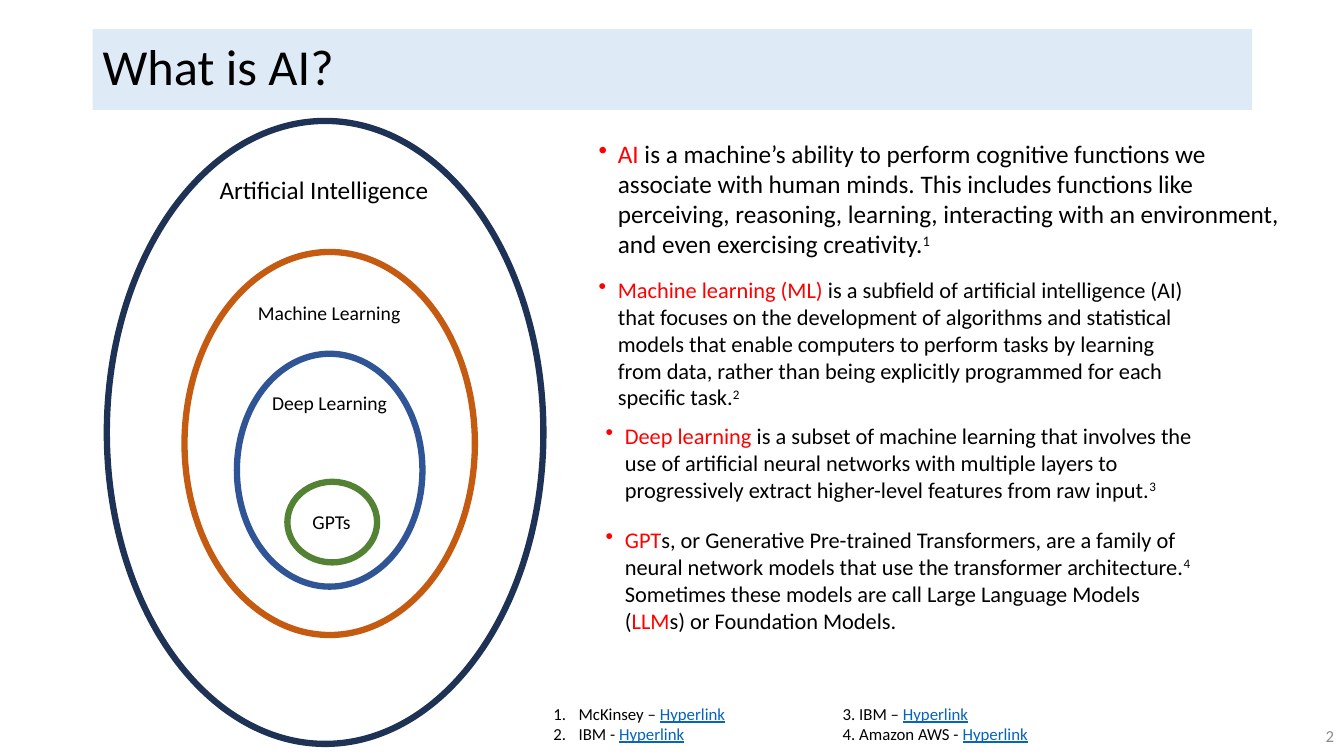
import pptx
import pptx.dml.color
import pptx.enum.shapes
import pptx.enum.text
import pptx.oxml
import pptx.oxml.ns
import pptx.util
from pptx.util import Inches

ALIGN = pptx.enum.text.PP_ALIGN
ANCHOR = pptx.enum.text.MSO_ANCHOR
SHAPE = pptx.enum.shapes.MSO_SHAPE
BLACK, RED, LINK = "000000", "FF0000", "0563C1"
DOT = '<a:buChar %s char="•"/>'
NUMBER = '<a:buAutoNum %s type="arabicPeriod"/>'


def color(code):
    return pptx.dml.color.RGBColor.from_string(code)


class Page:
    font = "Calibri"

    def __init__(self, deck):
        self.slide = deck.slides.add_slide(deck.slide_layouts[6])

    def shape(self, kind, box, fill=None, line=None):
        item = self.slide.shapes.add_shape(kind, *map(Inches, box))
        item.shadow.inherit = False
        if fill:
            item.fill.solid()
            item.fill.fore_color.rgb = color(fill)
        else:
            item.fill.background()
        if line:
            item.line.color.rgb = color(line)
            item.line.width = pptx.util.Pt(4.5)
        else:
            item.line.fill.background()
        return item

    def runs(self, para, parts, size, ink=BLACK):
        """Each part is (text, role): plain, key, sup or link."""
        for text, role in parts:
            run = para.add_run()
            run.text = text
            font = run.font
            font.name = self.font
            font.size = pptx.util.Pt(size)
            font.color.rgb = color({"key": RED, "link": LINK}.get(role, ink))
            if role == "link":
                font.underline = True
            if role == "sup":
                run._r.get_or_add_rPr().set("baseline", "30000")

    def mark(self, para, bullet, indent):
        props = para._p.get_or_add_pPr()
        props.set("marL", str(Inches(indent)))
        props.set("indent", str(Inches(-indent)))
        props.append(pptx.oxml.parse_xml(bullet % pptx.oxml.ns.nsdecls("a")))

    def text(self, box, rows, size, wrap=True, bullet=None, indent=0.19,
             ink=BLACK, align=ALIGN.LEFT, anchor=ANCHOR.TOP):
        frame = self.slide.shapes.add_textbox(*map(Inches, box)).text_frame
        frame.word_wrap = wrap
        frame.vertical_anchor = anchor
        for i, parts in enumerate(rows):
            para = frame.add_paragraph() if i else frame.paragraphs[0]
            para.alignment = align
            if bullet:
                self.mark(para, bullet, indent)
            self.runs(para, parts, size, ink)

    def title(self, box, words):
        frame = self.shape(SHAPE.RECTANGLE, box, fill="DEEBF7").text_frame
        frame.vertical_anchor = ANCHOR.MIDDLE
        para = frame.paragraphs[0]
        para.alignment = ALIGN.LEFT
        para.line_spacing = 0.9
        self.runs(para, [(words, "")], 36)

    def ring(self, box, line, label, spot, size):
        self.shape(SHAPE.OVAL, box, line=line)
        self.text(spot, [[(label, "")]], size, wrap=False)


def main():
    deck = pptx.Presentation()
    deck.slide_width, deck.slide_height = Inches(13.33), Inches(7.5)
    page = Page(deck)

    # Title band and page number
    page.title((0.92, 0.29, 11.5, 0.8), "What is AI?")
    page.text((10.33, 7.1, 3, 0.4), [[("2", "")]], 12, ink="8C8C8C",
              align=ALIGN.RIGHT, anchor=ANCHOR.MIDDLE)

    # Nested rings, outermost first
    rings = [
        ((1.06, 1.2, 4.33, 6.18), "1E3256", "Artificial Intelligence",
         (2.08, 1.68, 2.3, 0.4), 18),
        ((1.83, 2.5, 2.88, 3.8), "C55A11", "Machine Learning",
         (2.46, 2.94, 1.67, 0.34), 14),
        ((2.35, 3.51, 1.84, 2.31), "2F5597", "Deep Learning",
         (2.6, 3.83, 1.36, 0.34), 14),
        ((2.85, 4.78, 0.89, 0.8), "548235", "GPTs",
         (3, 5.01, 0.59, 0.34), 14),
    ]
    for ring in rings:
        page.ring(*ring)

    # Definitions
    terms = [
        ((5.84, 1.32, 7.04, 1.31), 18, [
            ("AI", "key"),
            (" is a machine’s ability to perform cognitive functions we "
             "associate with human minds. This includes functions like "
             "perceiving, reasoning, learning, interacting with an "
             "environment, and even exercising creativity.", ""),
            ("1", "sup")]),
        ((5.84, 2.69, 6.13, 1.45), 16, [
            ("Machine learning (ML)", "key"),
            (" is a subfield of artificial intelligence (AI) that focuses on "
             "the development of algorithms and statistical models that "
             "enable computers to perform tasks by learning from data, rather "
             "than being explicitly programmed for each specific task.", ""),
            ("2", "sup")]),
        ((5.91, 4.14, 6.13, 0.91), 16, [
            ("Deep learning", "key"),
            (" is a subset of machine learning that involves the use of "
             "artificial neural networks with multiple layers to "
             "progressively extract higher-level features from raw input.",
             ""),
            ("3", "sup")]),
        ((5.91, 5.17, 6.13, 1.18), 16, [
            ("GPT", "key"),
            ("s, or Generative Pre-trained Transformers, are a family of "
             "neural network models that use the transformer architecture.",
             ""),
            ("4 ", "sup"),
            ("Sometimes these models are call Large Language Models (", ""),
            ("LLM", "key"),
            ("s) or Foundation Models.", "")]),
    ]
    for box, size, parts in terms:
        page.text(box, [parts], size, bullet=DOT)

    # References
    link = ("Hyperlink", "link")
    page.text((5.39, 6.93, 1.92, 0.5),
              [[("McKinsey – ", ""), link], [("IBM - ", ""), link]],
              12, wrap=False, bullet=NUMBER, indent=0.25)
    page.text((8.26, 6.93, 2.06, 0.5),
              [[("3. IBM – ", ""), link], [("4. Amazon AWS - ", ""), link]],
              12, wrap=False)

    deck.save("out.pptx")


if __name__ == "__main__":
    main()
